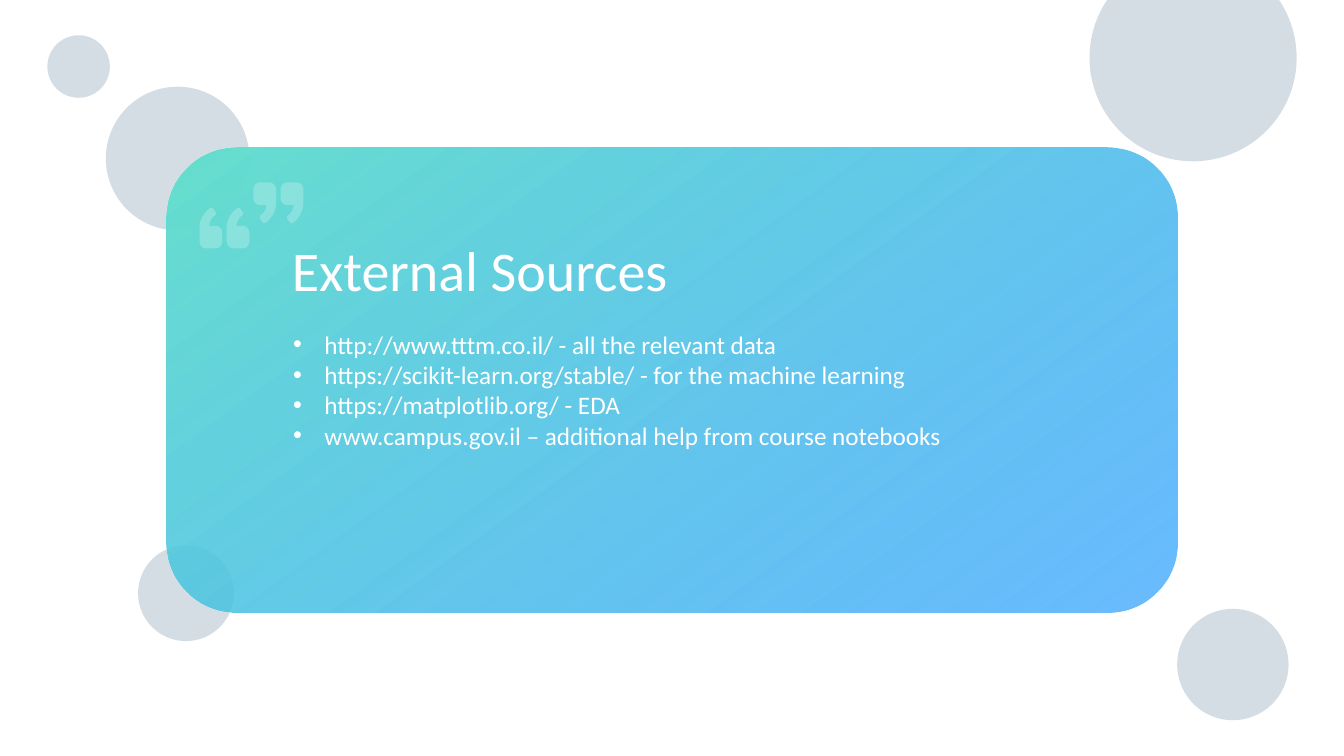
from pptx import Presentation
from pptx.dml.color import RGBColor
from pptx.enum.shapes import MSO_SHAPE
from pptx.enum.text import MSO_ANCHOR, MSO_AUTO_SIZE, PP_ALIGN
from pptx.oxml.ns import qn
from pptx.oxml.xmlchemy import OxmlElement
from pptx.util import Inches, Pt

# Content
TITLE = "External Sources"
SOURCES = [
    "http://www.tttm.co.il/ - all the relevant data",
    "https://scikit-learn.org/stable/ - for the machine learning",
    "https://matplotlib.org/ - EDA",
    "www.campus.gov.il – additional help from course notebooks",
]
WHITE, GREY = "FFFFFF", "BDCBD6"

# Circles: left, top, diameter
BACK_CIRCLES = [(2.74, 10.82, 1.9), (2.1, 1.72, 2.85)]
FRONT_CIRCLES = [(0.94, 0.7, 1.24), (21.62, -0.91, 4.11), (23.36, 12.08, 2.21)]

# One closing quote mark: a single point is a line, three points are a curve
MARK_W, MARK_H, MARK_STEP = 0.45, 0.81, 0.54
MARK = [
    [(0.13, 0)],
    [(0.06, 0), (0, 0.06), (0, 0.14)],
    [(0, 0.32)],
    [(0, 0.39), (0.06, 0.45), (0.13, 0.45)],
    [(0.26, 0.45)],
    [(0.25, 0.54), (0.21, 0.61), (0.14, 0.66)],
    [(0.12, 0.67), (0.12, 0.7), (0.13, 0.72)],
    [(0.18, 0.79)],
    [(0.19, 0.81), (0.22, 0.82), (0.24, 0.8)],
    [(0.37, 0.71), (0.45, 0.57), (0.45, 0.41)],
    [(0.45, 0.14)],
    [(0.45, 0.06), (0.39, 0), (0.31, 0)],
]
CLOSING_AT, OPENING_AT = (5.03, 3.62), (3.96, 4.12)


def rgb(color):
    return RGBColor.from_string(color)


def set_alpha(color_element, percent):
    alpha = OxmlElement("a:alpha")
    alpha.set("val", str(percent * 1000))
    color_element.append(alpha)


def paint(sp, color, percent):
    sp.shadow.inherit = False
    sp.line.fill.background()
    sp.fill.solid()
    sp.fill.fore_color.rgb = rgb(color)
    set_alpha(next(sp._element.spPr.iter(qn("a:srgbClr"))), percent)


def add_circles(shapes, circles):
    for left, top, size in circles:
        box = map(Inches, (left, top, size, size))
        paint(shapes.add_shape(MSO_SHAPE.OVAL, *box), GREY, 64)


def add_card(shapes):
    box = map(Inches, (3.31, 2.92, 20.05, 9.24))
    card = shapes.add_shape(MSO_SHAPE.ROUNDED_RECTANGLE, *box)
    card.adjustments[0] = 0.151
    card.shadow.inherit = False
    card.line.fill.background()
    card.fill.gradient()
    card.fill.gradient_angle = 306
    for stop, color in zip(card.fill.gradient_stops, ("67E0CE", "219BFE")):
        stop.color.rgb = rgb(color)
    set_alpha(list(card._element.spPr.iter(qn("a:srgbClr")))[-1], 67)


def place_mark(left, top, turned):
    """Segments of one mark in EMU; an opening mark is turned half round."""
    return [[(Inches(left + (MARK_W - x if turned else x)),
              Inches(top + (MARK_H - y if turned else y))) for x, y in segment]
            for segment in MARK]


def add_quote_marks(shapes):
    marks = [place_mark(left + i * MARK_STEP, top, turned)
             for (left, top), turned in ((CLOSING_AT, False), (OPENING_AT, True))
             for i in range(2)]
    builder = shapes.build_freeform(*marks[0][0][0])
    for i, (start, *segments) in enumerate(marks):
        if i:
            builder.move_to(*start[0])
        builder.add_line_segments([segment[-1] for segment in segments], close=True)
    sp = builder.convert_to_shape()

    # Turn the lines of curved segments into Bezier curves
    lines = list(sp._element.spPr.iter(qn("a:lnTo")))
    segments = [segment for mark in marks for segment in mark[1:]]
    for line, segment in zip(lines, segments):
        if len(segment) == 3:
            curve = OxmlElement("a:cubicBezTo")
            for x, y in segment:
                pt = OxmlElement("a:pt")
                pt.set("x", str(x - sp.left))
                pt.set("y", str(y - sp.top))
                curve.append(pt)
            line.getparent().replace(line, curve)
    paint(sp, WHITE, 24)


def fill_text(sp, box, lines, size, bullets=False):
    sp.left, sp.top, sp.width, sp.height = map(Inches, box)
    tf = sp.text_frame
    margins = dict.fromkeys(("margin_left", "margin_right", "margin_top", "margin_bottom"),
                            Inches(0.1))
    for name, value in {**margins, "word_wrap": True,
                        "auto_size": MSO_AUTO_SIZE.SHAPE_TO_FIT_TEXT,
                        "vertical_anchor": MSO_ANCHOR.TOP}.items():
        setattr(tf, name, value)
    for i, line in enumerate(lines):
        p = tf.add_paragraph() if i else tf.paragraphs[0]
        p.alignment = PP_ALIGN.LEFT
        if bullets:
            pPr = p._p.get_or_add_pPr()
            pPr.set("marL", str(Inches(0.62)))
            pPr.set("indent", str(-Inches(0.62)))
            font = OxmlElement("a:buFont")
            font.set("typeface", "Arial")
            bullet = OxmlElement("a:buChar")
            bullet.set("char", "•")
            pPr.extend([font, bullet])
        r = p.add_run()
        r.text = line
        for name, value in {"name": "Calibri", "size": Pt(size)}.items():
            setattr(r.font, name, value)
        r.font.color.rgb = rgb(WHITE)


def main():
    prs = Presentation()
    prs.slide_width, prs.slide_height = Inches(26.67), Inches(15)
    s = prs.slides.add_slide(prs.slide_layouts[5])
    shapes = s.shapes

    # Card over the back circles
    add_circles(shapes, BACK_CIRCLES)
    add_card(shapes)

    # Title, brought in front of the card, and list of sources
    title = shapes.title
    shapes._spTree.append(title._element)
    fill_text(title, (5.69, 4.57, 15.23, 1.55), [TITLE], 80)
    box = (5.72, 6.43, 15.43, 3.23)
    fill_text(shapes.add_textbox(*map(Inches, box)), box, SOURCES, 36, bullets=True)

    # Quote marks and front circles
    add_quote_marks(shapes)
    add_circles(shapes, FRONT_CIRCLES)
    prs.save("out.pptx")


if __name__ == "__main__":
    main()
